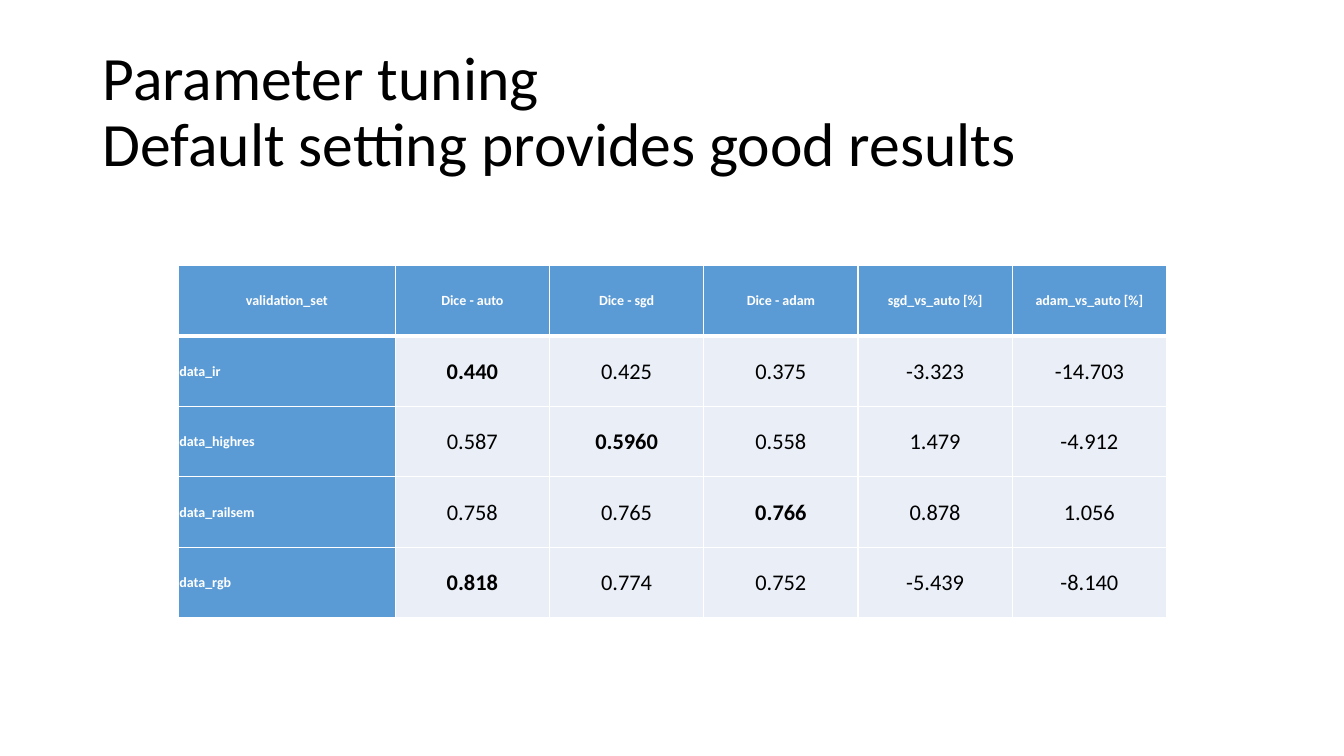
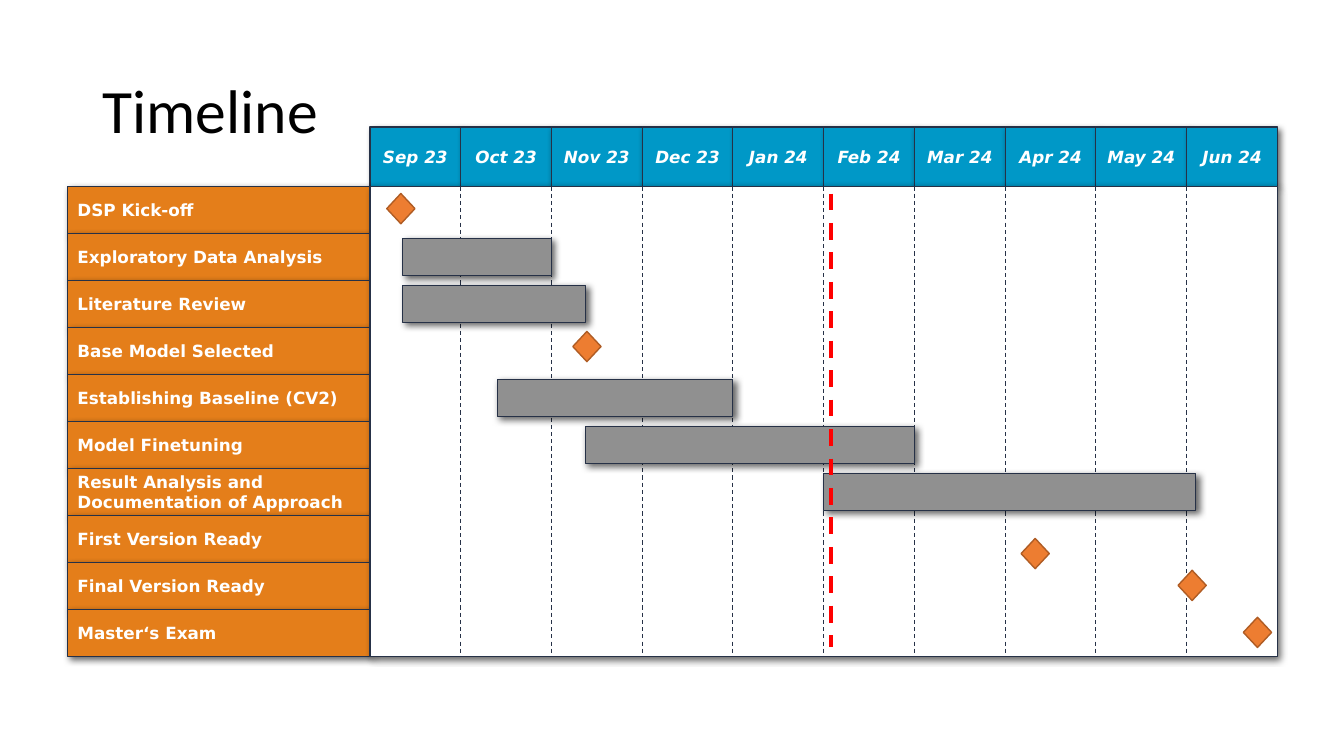
import dataclasses
import typing

import lxml.etree
import pptx
import pptx.dml.color
import pptx.enum.dml
import pptx.enum.shapes
import pptx.enum.text
import pptx.oxml
import pptx.oxml.ns
import pptx.util

Inches = pptx.util.Inches
Pt = pptx.util.Pt
Kind = pptx.enum.shapes.MSO_SHAPE
Align = pptx.enum.text.PP_ALIGN
Anchor = pptx.enum.text.MSO_ANCHOR
qn = pptx.oxml.ns.qn


@dataclasses.dataclass(frozen=True)
class Theme:
    # Colours
    black: str = "000000"
    white: str = "FFFFFF"
    head: str = "5B9BD5"
    cell: str = "EAEFF7"
    month: str = "0098C7"
    task: str = "E47E1A"
    bar: str = "909090"
    edge: str = "263147"
    mark: str = "ED7D31"
    rim: str = "AF5C24"
    today: str = "FF0000"
    # Fonts and type sizes
    font: str = "Calibri"
    plan: str = "DejaVu Sans"
    title: int = 44
    value: int = 16
    label: int = 12
    small: int = 10


THEME = Theme()


def rgb(code):
    return pptx.dml.color.RGBColor.from_string(code)


def write(frame, text, size=THEME.label, color=THEME.black, font=THEME.font,
          bold=False, italic=False, align=Align.LEFT, space=1.0):
    """Fill a text frame with one paragraph; newlines become line breaks."""
    para = frame.paragraphs[0]
    para.alignment = align
    para.line_spacing = space
    for i, line in enumerate(text.split("\n")):
        if i:
            para.add_line_break()
        run = para.add_run()
        run.text = line
        run.font.size = Pt(size)
        run.font.name = font
        run.font.bold = bold
        run.font.italic = italic
        run.font.color.rgb = rgb(color)


def shade(shape):
    """Give a shape the soft shadow of the plan."""
    shape.shadow.inherit = False
    effects = shape._element.spPr.find(qn("a:effectLst"))
    effects.append(pptx.oxml.parse_xml(
        '<a:outerShdw xmlns:a="http://schemas.openxmlformats.org/drawingml/2006/main"'
        f' blurRad="{Pt(5)}" dist="{Pt(2.9)}" dir="{45 * 60000}" algn="tl"'
        ' rotWithShape="0"><a:srgbClr val="000000"><a:alpha val="60000"/>'
        '</a:srgbClr></a:outerShdw>'))


def border(cell, **sides):
    """Draw white cell borders, widths in points by side: L, R, T, B."""
    props = cell._tc.get_or_add_tcPr()
    for i, (side, width) in enumerate(sides.items()):
        line = lxml.etree.Element(qn("a:ln" + side), w=str(Pt(width)))
        fill = lxml.etree.SubElement(line, qn("a:solidFill"))
        lxml.etree.SubElement(fill, qn("a:srgbClr"), val=THEME.white)
        props.insert(i, line)


@dataclasses.dataclass
class Deck:
    file: typing.Any
    theme: Theme = THEME
    slide: typing.Any = None

    def page(self, title):
        """Start a slide with its title."""
        self.slide = self.file.slides.add_slide(self.file.slide_layouts[6])
        box = self.slide.shapes.add_textbox(
            Inches(0.92), Inches(0.4), Inches(11.5), Inches(1.45))
        frame = box.text_frame
        frame.word_wrap = True
        frame.vertical_anchor = Anchor.MIDDLE
        write(frame, title, size=self.theme.title, space=0.9)

    def block(self, x, y, w, h, fill, text="", pad=0, kind=Kind.RECTANGLE,
              edge=THEME.edge, width=0.75, shadow=True, **style):
        shape = self.slide.shapes.add_shape(
            kind, Inches(x), Inches(y), Inches(w), Inches(h))
        shape.fill.solid()
        shape.fill.fore_color.rgb = rgb(fill)
        shape.line.color.rgb = rgb(edge)
        shape.line.width = Pt(width)
        shape.shadow.inherit = False
        if shadow:
            shade(shape)
        if text:
            frame = shape.text_frame
            frame.word_wrap = True
            frame.vertical_anchor = Anchor.MIDDLE
            frame.margin_left = frame.margin_right = Inches(pad)
            frame.margin_top = frame.margin_bottom = Inches(pad)
            write(frame, text, color=self.theme.white, font=self.theme.plan,
                  bold=True, **style)

    def dash(self, x, top, end, color, width):
        """Draw an upright dashed line."""
        line = self.slide.shapes.add_connector(
            pptx.enum.shapes.MSO_CONNECTOR.STRAIGHT,
            Inches(x), Inches(top), Inches(x), Inches(end))
        line.line.color.rgb = rgb(color)
        line.line.width = Pt(width)
        line.line.dash_style = pptx.enum.dml.MSO_LINE.DASH
        lxml.etree.SubElement(line._element.spPr, qn("a:effectLst"))

    def table(self, x, y, cols, high, rows, best):
        """Draw a table with a head row and head column; best cells are bold."""
        look = self.theme
        grid = self.slide.shapes.add_table(
            len(rows), len(cols), Inches(x), Inches(y),
            Inches(sum(cols)), Inches(high * len(rows))).table
        for col, wide in zip(grid.columns, cols):
            col.width = Inches(wide)
        for r, row in enumerate(rows):
            grid.rows[r].height = Inches(high)
            for c, text in enumerate(row):
                cell = grid.cell(r, c)
                head = r == 0 or c == 0
                cell.fill.solid()
                cell.fill.fore_color.rgb = rgb(look.head if head else look.cell)
                cell.vertical_anchor = Anchor.MIDDLE
                cell.margin_left = cell.margin_right = Inches(0.01)
                cell.margin_top, cell.margin_bottom = Inches(0.01), 0
                border(cell, L=1, R=1, T=3 if r == 1 else 1, B=3 if r == 0 else 1)
                write(cell.text_frame, text,
                      size=look.small if head else look.value,
                      color=look.white if head else look.black,
                      bold=head or (r, c) in best,
                      align=Align.LEFT if r and not c else Align.CENTER)


def tuning(deck):
    deck.page("Parameter tuning\nDefault setting provides good results")
    rows = [
        ("validation_set", "Dice - auto", "Dice - sgd", "Dice - adam",
         "sgd_vs_auto [%]", "adam_vs_auto [%]"),
        ("data_ir", "0.440", "0.425", "0.375", "-3.323", "-14.703"),
        ("data_highres", "0.587", "0.5960", "0.558", "1.479", "-4.912"),
        ("data_railsem", "0.758", "0.765", "0.766", "0.878", "1.056"),
        ("data_rgb", "0.818", "0.774", "0.752", "-5.439", "-8.140"),
    ]
    deck.table(1.77, 2.63, [2.15] + [1.53] * 5, 0.7, rows,
               best={(1, 1), (2, 2), (3, 3), (4, 1)})


def timeline(deck):
    look = deck.theme
    deck.page("Timeline")
    left, top, wide, tall = 3.67, 1.85, 9, 4.66
    months = ["Sep 23", "Oct 23", "Nov 23", "Dec 23", "Jan 24",
              "Feb 24", "Mar 24", "Apr 24", "May 24", "Jun 24"]
    # Each task has a bar (start, end) in months,
    # or a milestone (month, drop below the row's top in inches)
    tasks = [
        ("DSP Kick-off", None, (0.34, 0.07)),
        ("Exploratory Data Analysis", (0.36, 2), None),
        ("Literature Review", (0.36, 2.38), None),
        ("Base Model Selected", None, (2.39, 0.04)),
        ("Establishing Baseline (CV2)", (1.4, 4), None),
        ("Model Finetuning", (2.37, 6), None),
        ("Result Analysis and Documentation of Approach", (5, 9.1), None),
        ("First Version Ready", None, (7.33, 0.23)),
        ("Final Version Ready", None, (9.06, 0.08)),
        ("Master‘s Exam", None, (9.78, 0.08)),
    ]
    step = wide / len(months)
    high = tall / len(tasks)

    # Month heads and task labels
    for i, name in enumerate(months):
        deck.block(left + i * step, 1.26, step, 0.59, look.month, name,
                   italic=True, align=Align.CENTER)
    for i, (name, _, _) in enumerate(tasks):
        deck.block(0.67, top + i * high, 3, high, look.task, name, pad=0.1)

    # Chart area with month lines
    deck.block(left, top, wide, tall, look.white)
    for i in range(1, len(months)):
        deck.dash(left + i * step, top, top + tall, look.edge, 0.75)

    # Bars and milestones
    for i, (_, span, goal) in enumerate(tasks):
        y = top + i * high
        if span:
            start, end = span
            deck.block(left + start * step, y + 0.05, (end - start) * step,
                       0.37, look.bar)
        if goal:
            when, drop = goal
            deck.block(left + when * step - 0.14, y + drop, 0.28, 0.3,
                       look.mark, kind=Kind.FLOWCHART_DECISION,
                       edge=look.rim, width=1, shadow=False)

    # Today
    deck.dash(left + 5.08 * step, 1.92, 6.42, look.today, 3)


def main():
    file = pptx.Presentation()
    file.slide_width = Inches(13.33)
    file.slide_height = Inches(7.5)
    deck = Deck(file)
    tuning(deck)
    timeline(deck)
    file.save("out.pptx")


if __name__ == "__main__":
    main()
